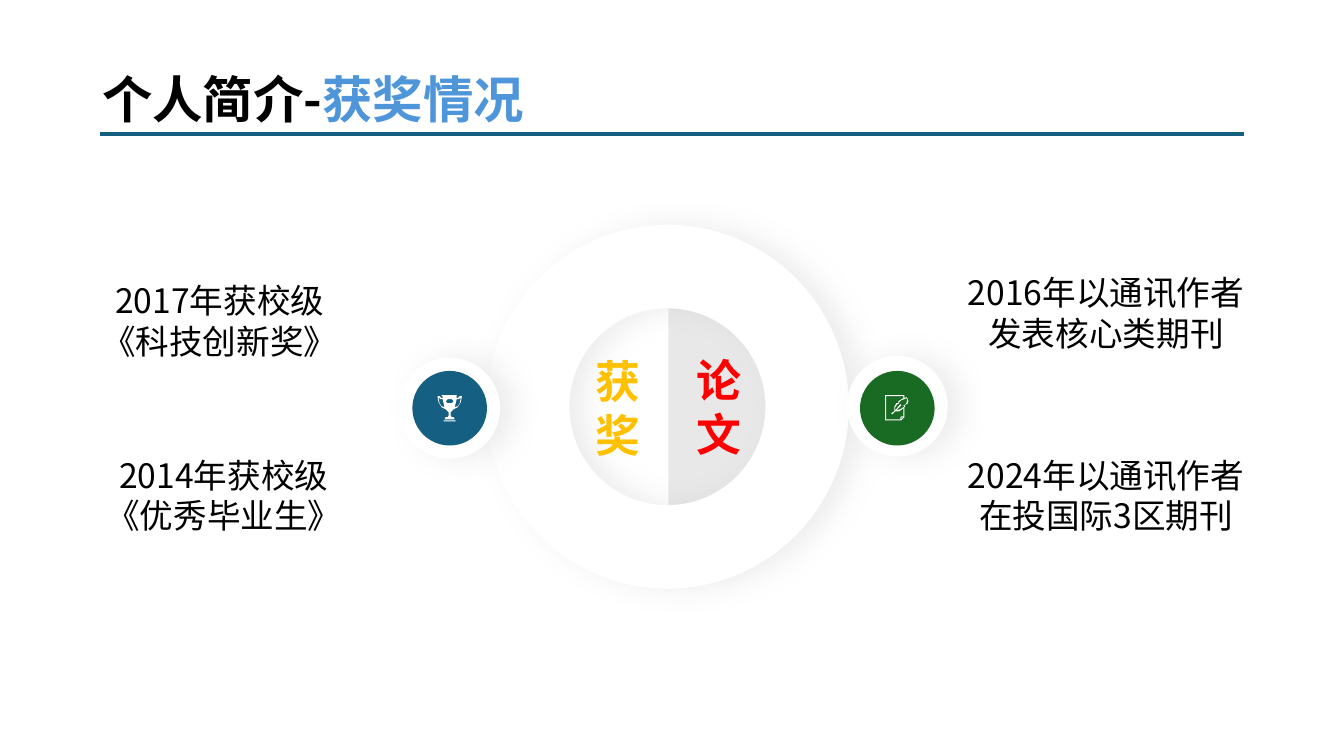
from lxml.etree import SubElement
from pptx import Presentation
from pptx.dml.color import RGBColor
from pptx.enum.shapes import MSO_CONNECTOR, MSO_SHAPE
from pptx.enum.text import MSO_ANCHOR, MSO_AUTO_SIZE, PP_ALIGN
from pptx.oxml.ns import qn
from pptx.util import Inches, Pt

FONT = "Noto Sans CJK SC"


def color(hex_string):
    return RGBColor.from_string(hex_string)


def write_text(shape, lines, size, bold=False, alignment=PP_ALIGN.CENTER):
    """Fill a shape with lines, each a list of (text, colour) runs."""
    frame = shape.text_frame
    frame.word_wrap = True
    frame.auto_size = MSO_AUTO_SIZE.SHAPE_TO_FIT_TEXT
    frame.vertical_anchor = MSO_ANCHOR.TOP
    for index, line in enumerate(lines):
        paragraph = frame.add_paragraph() if index else frame.paragraphs[0]
        paragraph.alignment = alignment
        for text, hex_string in line:
            run = paragraph.add_run()
            run.text = text
            run.font.name = FONT
            run.font.size = Pt(size)
            run.font.bold = bold
            run.font.color.rgb = color(hex_string)
            SubElement(run.font._element, qn("a:ea"), typeface=FONT)


presentation = Presentation()
presentation.slide_width = Inches(13.33)
presentation.slide_height = Inches(7.5)
slide = presentation.slides.add_slide(presentation.slide_layouts[5])
shapes = slide.shapes

# Title and the rule under it
title = shapes.title
title.left, title.top = Inches(0), Inches(0.63)
title.width, title.height = Inches(6.21), Inches(0.71)
write_text(title, [[("个人简介-", "000000"), ("获奖情况", "4E95D9")]], 36, bold=True)

rule = shapes.add_connector(
    MSO_CONNECTOR.STRAIGHT, Inches(0.99), Inches(1.33), Inches(12.34), Inches(1.33))
rule.line.color.rgb = color("156082")
rule.line.width = Pt(2.25)
SubElement(rule._element.spPr, qn("a:effectLst"))

# Half disc, ring and badges: kind, left, top, width, height, fill, shadow
rounds = [
    (MSO_SHAPE.CHORD, 5.65, 3.06, 1.96, 1.97, "E8E8E8", False),
    (MSO_SHAPE.DONUT, 4.82, 2.23, 3.6, 3.61, "FFFFFF", True),
    (MSO_SHAPE.OVAL, 3.96, 3.55, 1, 1, "FFFFFF", True),
    (MSO_SHAPE.OVAL, 4.09, 3.68, 0.74, 0.74, "156082", False),
    (MSO_SHAPE.OVAL, 8.4, 3.53, 1, 1, "FFFFFF", True),
    (MSO_SHAPE.OVAL, 8.53, 3.68, 0.74, 0.74, "196B24", False),
]
# Chord angles run from the top to the bottom; the ring takes a thickness
adjustments = {MSO_SHAPE.CHORD: [162, 54], MSO_SHAPE.DONUT: [0.23], MSO_SHAPE.OVAL: []}
for kind, left, top, width, height, fill, has_shadow in rounds:
    shape = shapes.add_shape(kind, Inches(left), Inches(top), Inches(width), Inches(height))
    for index, value in enumerate(adjustments[kind]):
        shape.adjustments[index] = value
    shape.fill.solid()
    shape.fill.fore_color.rgb = color(fill)
    shape.line.fill.background()
    shape.shadow.inherit = False
    if has_shadow:
        effects = shape._element.spPr.find(qn("a:effectLst"))
        shadow = SubElement(effects, qn("a:outerShdw"), blurRad=str(Pt(20)),
                            dist=str(Pt(10)), dir="0", algn="l", rotWithShape="0")
        shade = SubElement(shadow, qn("a:srgbClr"), val="A6A6A6")
        SubElement(shade, qn("a:alpha"), val="20000")

# Trophy outlines in hundredths of an inch, symmetrical about x = 446
cup_half = [(446, 393), (439, 393), (439, 395), (438, 395), (436, 393), (434, 393),
            (434, 394), (435, 399), (438, 404), (442, 406), (445, 409), (445, 412),
            (444, 414), (442, 414), (441, 416)]
handle = [(435, 395), (436, 400), (438, 403), (441, 404), (440, 400), (439, 396),
          (437, 396), (436, 395)]
cup_mirror, handle_mirror = [
    [(892 - x, y) for x, y in reversed(points)] for points in (cup_half, handle)]
trophy = [
    cup_half + cup_mirror,
    handle,
    handle_mirror,
    [(442, 398), (444, 396), (448, 396), (450, 398), (448, 400), (444, 400)],
    [(440, 417), (452, 417), (452, 418), (440, 418)],
    [(438, 392), (453, 392), (453, 393), (438, 393)],
]

# Page with a feather: outer edge, page, folded corner, feather
paper = [
    [(897, 395), (897, 392), (878, 392), (878, 417), (894, 417), (897, 414), (897, 404),
     (898, 403), (897, 402), (899, 401), (900, 401), (901, 398), (900, 395), (899, 394)],
    [(879, 393), (896, 393), (896, 395), (891, 398), (891, 400), (889, 400), (887, 404),
     (887, 408), (884, 410), (885, 411), (888, 408), (892, 408), (896, 405), (896, 413),
     (894, 413), (893, 414), (893, 416), (879, 416)],
    [(896, 414), (894, 416), (894, 414)],
    [(899, 400), (897, 402), (896, 402), (897, 403), (896, 404), (893, 406), (889, 407),
     (894, 402), (893, 401), (888, 407), (888, 404), (890, 401), (891, 401), (892, 399),
     (894, 397), (897, 396), (899, 395), (900, 396)],
]
for outlines in (trophy, paper):
    builder = shapes.build_freeform(*outlines[0][0], scale=Inches(0.01))
    builder.add_line_segments(outlines[0][1:], close=True)
    for outline in outlines[1:]:
        builder.move_to(*outline[0])
        builder.add_line_segments(outline[1:], close=True)
    icon = builder.convert_to_shape()
    icon.fill.solid()
    icon.fill.fore_color.rgb = color("FFFFFF")
    icon.line.fill.background()
    icon.shadow.inherit = False

# Awards on the left, papers on the right
captions = [
    (0.38, 2.73, ["2017年获校级", "《科技创新奖》"]),
    (0.42, 4.46, ["2014年获校级", "《优秀毕业生》"]),
    (9.17, 2.65, ["2016年以通讯作者", "发表核心类期刊"]),
    (9.17, 4.46, ["2024年以通讯作者", "在投国际3区期刊"]),
]
for left, top, lines in captions:
    caption = shapes.add_textbox(Inches(left), Inches(top), Inches(3.6), Inches(0.91))
    write_text(caption, [[(line, "000000")] for line in lines], 24)

# Labels in the centre, one character to a line
for left, top, text, hex_string in [(5.81, 3.46, "获奖", "FFC000"),
                                    (6.81, 3.45, "论文", "FF0000")]:
    label = shapes.add_textbox(Inches(left), Inches(top), Inches(0.5), Inches(1.18))
    write_text(label, [[(text, hex_string)]], 32, bold=True, alignment=PP_ALIGN.LEFT)

presentation.save("out.pptx")
